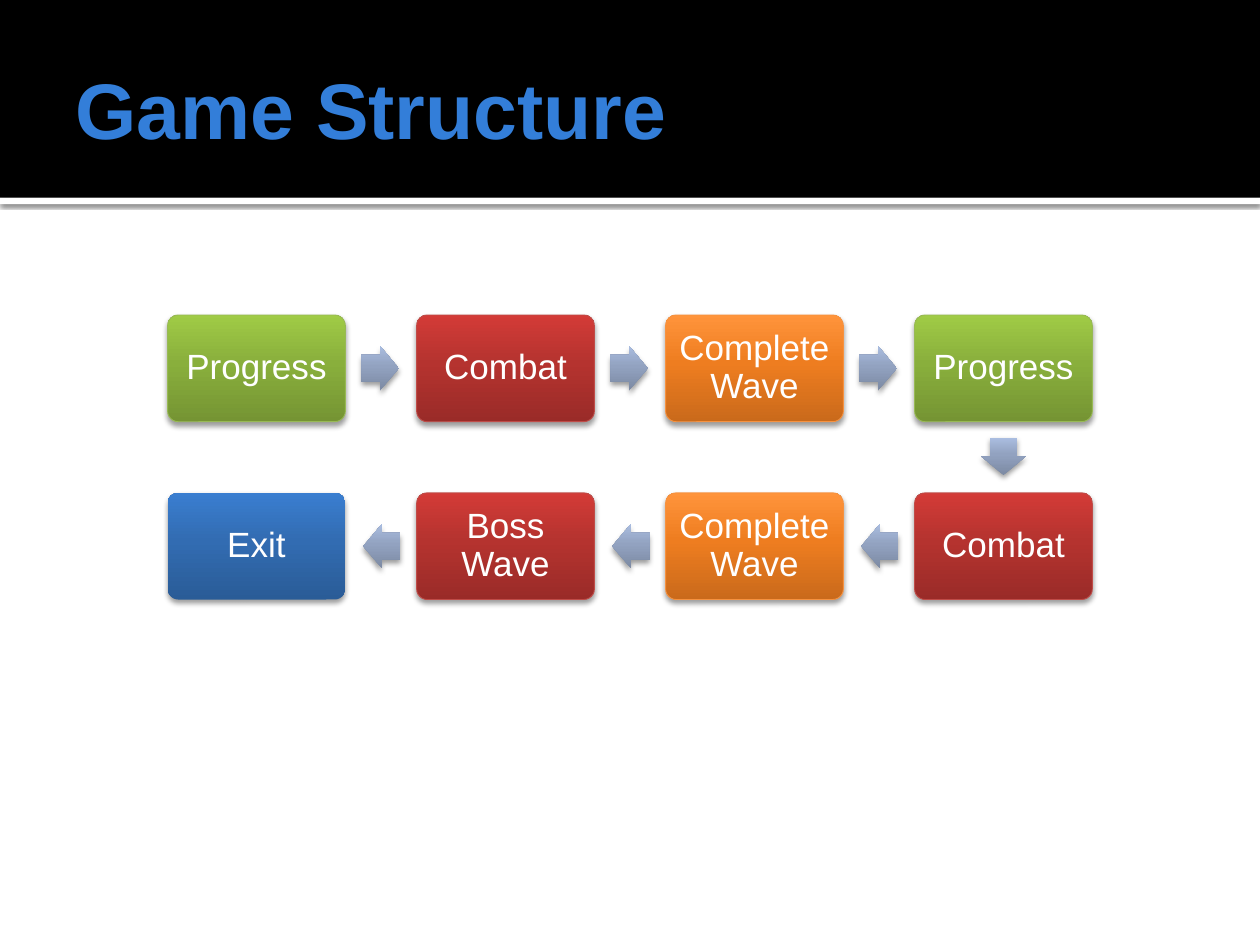
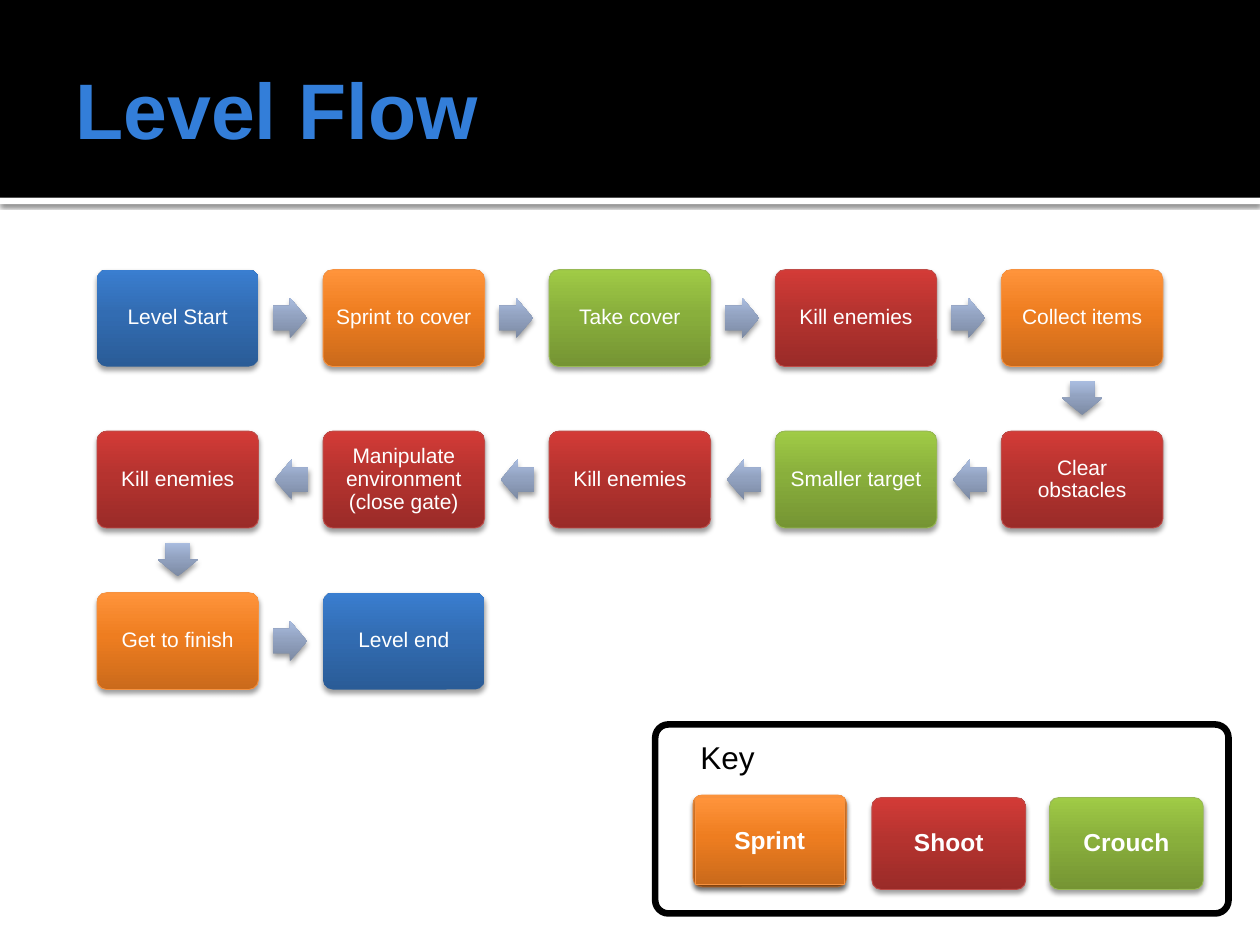
import pptx
import pptx.dml.color
import pptx.enum.shapes
import pptx.enum.text
import pptx.oxml
import pptx.oxml.ns
import pptx.util

Inches = pptx.util.Inches
Pt = pptx.util.Pt
SHAPES = pptx.enum.shapes.MSO_SHAPE
ALIGN = pptx.enum.text.PP_ALIGN
ANCHOR = pptx.enum.text.MSO_ANCHOR

FONT = "Arial"
SLIDE_WIDTH, SLIDE_HEIGHT = 10, 7.5
BAND_HEIGHT = 1.57
COLORS = {"black": "000000", "white": "FFFFFF", "title": "337ED9"}
# Gradients run from the bottom (0 %) over 55 % to the top (100 %)
GRADIENTS = {
    "green": ("759433", "89AF3C", "A0CB46"),
    "red": ("9A2B28", "B5332F", "D33B37"),
    "orange": ("CA6A1B", "EE7D20", "FF943B"),
    "blue": ("2A5C97", "326CB2", "3A7ED0"),
    "arrow": ("7C8AA3", "92A2C0", "AABDE0"),
}
OUTLINES = {"green": "98B955", "red": "BF4C48", "orange": "F69240"}

GAME_STRUCTURE = {
    "title": "Game Structure",
    "columns": 4, "left": 1.33, "top": 2.5, "size": 20, "inset": 0.08,
    "steps": [
        ("Progress", "green"), ("Combat", "red"),
        ("Complete Wave", "orange"), ("Progress", "green"),
        ("Combat", "red"), ("Complete Wave", "orange"),
        ("Boss Wave", "red"), ("Exit", "blue"),
    ],
}
LEVEL_FLOW = {
    "title": "Level Flow",
    "columns": 5, "left": 0.77, "top": 2.14, "size": 12, "inset": 0.05,
    "steps": [
        ("Level Start", "blue"), ("Sprint to cover", "orange"),
        ("Take cover", "green"), ("Kill enemies", "red"),
        ("Collect items", "orange"), ("Clear obstacles", "red"),
        ("Smaller target", "green"), ("Kill enemies", "red"),
        ("Manipulate environment (close gate)", "red"),
        ("Kill enemies", "red"), ("Get to finish", "orange"),
        ("Level end", "blue"),
    ],
}
KEY = [("Shoot", "red", 6.92, 6.33), ("Crouch", "green", 8.33, 6.33)]
KEY_SPRINT = ("Sprint", "orange", 5.5, 6.31)
KEY_WIDTH, KEY_HEIGHT = 1.22, 0.73


def rgb(value):
    return pptx.dml.color.RGBColor.from_string(value)


def xml(body):
    return pptx.oxml.parse_xml(body.replace(">", f" {pptx.oxml.ns.nsdecls('a')}>", 1))


def add_shadow(shape, alpha=38, blur=3.1, distance=2):
    shape.shadow.inherit = False
    effects = shape.element.spPr.find(pptx.oxml.ns.qn("a:effectLst"))
    effects.append(xml(
        f'<a:outerShdw blurRad="{Pt(blur)}" dist="{Pt(distance)}" dir="5400000" '
        f'rotWithShape="0"><a:srgbClr val="{COLORS["black"]}">'
        f'<a:alpha val="{alpha * 1000}"/></a:srgbClr></a:outerShdw>'))


def add_plain_shape(slide, kind, left, top, width, height):
    shape = slide.shapes.add_shape(
        kind, Inches(left), Inches(top), Inches(width), Inches(height))
    shape.shadow.inherit = False
    shape.line.fill.background()
    return shape


def add_glossy_shape(slide, kind, left, top, width, height, color):
    """Add a shape with an upright gradient, its outline and a soft shadow."""
    shape = add_plain_shape(slide, kind, left, top, width, height)
    stops = "".join(
        f'<a:gs pos="{position * 1000}"><a:srgbClr val="{stop}"/></a:gs>'
        for position, stop in zip((0, 55, 100), GRADIENTS[color]))
    geometry = shape.element.spPr.find(pptx.oxml.ns.qn("a:prstGeom"))
    geometry.addnext(xml(
        f'<a:gradFill rotWithShape="0"><a:gsLst>{stops}</a:gsLst>'
        '<a:lin ang="16200000" scaled="0"/></a:gradFill>'))
    if color in OUTLINES:
        shape.line.color.rgb = rgb(OUTLINES[color])
        shape.line.width = Pt(0.5)
    add_shadow(shape)
    return shape


def write(shape, text, size, color, bold=False, align=ALIGN.LEFT,
          anchor=ANCHOR.MIDDLE, insets=(0.1, 0.05, 0.1, 0.05)):
    frame = shape.text_frame
    frame.text = text
    frame.word_wrap = True
    frame.vertical_anchor = anchor
    (frame.margin_left, frame.margin_top,
     frame.margin_right, frame.margin_bottom) = map(Inches, insets)
    para = frame.paragraphs[0]
    para.alignment = align
    for span in para.runs:
        span.font.name = FONT
        span.font.size = Pt(size)
        span.font.bold = bold
        span.font.color.rgb = rgb(color)
    return para


def add_tile(slide, left, top, width, height, color, text="", size=14,
             inset=0.05, bold=False, kind=SHAPES.ROUNDED_RECTANGLE):
    tile = add_glossy_shape(slide, kind, left, top, width, height, color)
    if kind == SHAPES.ROUNDED_RECTANGLE:
        tile.adjustments[0] = 0.1
    if text:
        para = write(tile, text, size, COLORS["white"], bold, ALIGN.CENTER,
                     insets=(inset,) * 4)
        para.line_spacing = 0.9


def add_titled_slide(deck, title):
    slide = deck.slides.add_slide(deck.slide_layouts[6])
    strip = add_plain_shape(slide, SHAPES.RECTANGLE, 0, BAND_HEIGHT, SLIDE_WIDTH, 0.05)
    band = add_plain_shape(slide, SHAPES.RECTANGLE, 0, 0, SLIDE_WIDTH, BAND_HEIGHT)
    for shape, color in ((strip, "white"), (band, "black")):
        shape.fill.solid()
        shape.fill.fore_color.rgb = rgb(COLORS[color])
    add_shadow(strip, alpha=60, blur=2.5, distance=0.8)
    box = slide.shapes.add_textbox(Inches(0.5), Inches(0.17), Inches(9), Inches(1.37))
    write(box, title, 45, COLORS["title"], bold=True, insets=(0.1, 0.05, 0.05, 0.05))
    return slide


def add_flow(slide, flow):
    """Lay the steps out in rows that run right, then left, joined by arrows."""
    columns, left, top = flow["columns"], flow["left"], flow["top"]
    # Gaps between columns are 0.4 tile widths
    width = (SLIDE_WIDTH - 2 * left) / (1.4 * columns - 0.4)
    height = 0.6 * width
    arrow_length, arrow_height = 0.21 * width, 0.25 * width
    reach = 0.09 * width + arrow_length / 2

    last = len(flow["steps"]) - 1
    for index, (text, color) in enumerate(flow["steps"]):
        row, place = divmod(index, columns)
        backwards = row % 2 == 1
        column = columns - 1 - place if backwards else place
        x, y = left + column * 1.4 * width, top + row * width
        add_tile(slide, x, y, width, height, color, text, flow["size"], flow["inset"])
        if index == last:
            continue

        center_x, center_y = x + width / 2, y + height / 2
        if place == columns - 1:
            center_y += height / 2 + reach
            rotation = 90
        elif backwards:
            center_x -= width / 2 + reach
            rotation = 180
        else:
            center_x += width / 2 + reach
            rotation = 0
        arrow = add_glossy_shape(
            slide, SHAPES.RIGHT_ARROW, center_x - arrow_length / 2,
            center_y - arrow_height / 2, arrow_length, arrow_height, "arrow")
        arrow.adjustments[0] = 0.6
        arrow.adjustments[1] = 0.5
        arrow.rotation = rotation


def add_key(slide):
    label = slide.shapes.add_textbox(Inches(5.46), Inches(5.81), Inches(1.2), Inches(1.01))
    write(label, "Key", 18, COLORS["black"], anchor=ANCHOR.TOP)
    for text, color, left, top in KEY:
        add_tile(slide, left, top, KEY_WIDTH, KEY_HEIGHT, color, text, bold=True)

    text, color, left, top = KEY_SPRINT
    rim = 0.02
    add_tile(slide, left, top, KEY_WIDTH, KEY_HEIGHT, color)
    add_tile(slide, left + rim, top + rim, KEY_WIDTH - 2 * rim, KEY_HEIGHT - 2 * rim,
             color, text, bold=True, kind=SHAPES.RECTANGLE)

    frame = add_plain_shape(slide, SHAPES.ROUNDED_RECTANGLE, 5.2, 5.75, 4.55, 1.5)
    frame.adjustments[0] = 0.07
    frame.fill.background()
    frame.line.color.rgb = rgb(COLORS["black"])
    frame.line.width = Pt(3.78)


def main():
    deck = pptx.Presentation()
    deck.slide_width = Inches(SLIDE_WIDTH)
    deck.slide_height = Inches(SLIDE_HEIGHT)
    for flow in (GAME_STRUCTURE, LEVEL_FLOW):
        slide = add_titled_slide(deck, flow["title"])
        add_flow(slide, flow)
    add_key(slide)
    deck.save("out.pptx")


if __name__ == "__main__":
    main()
